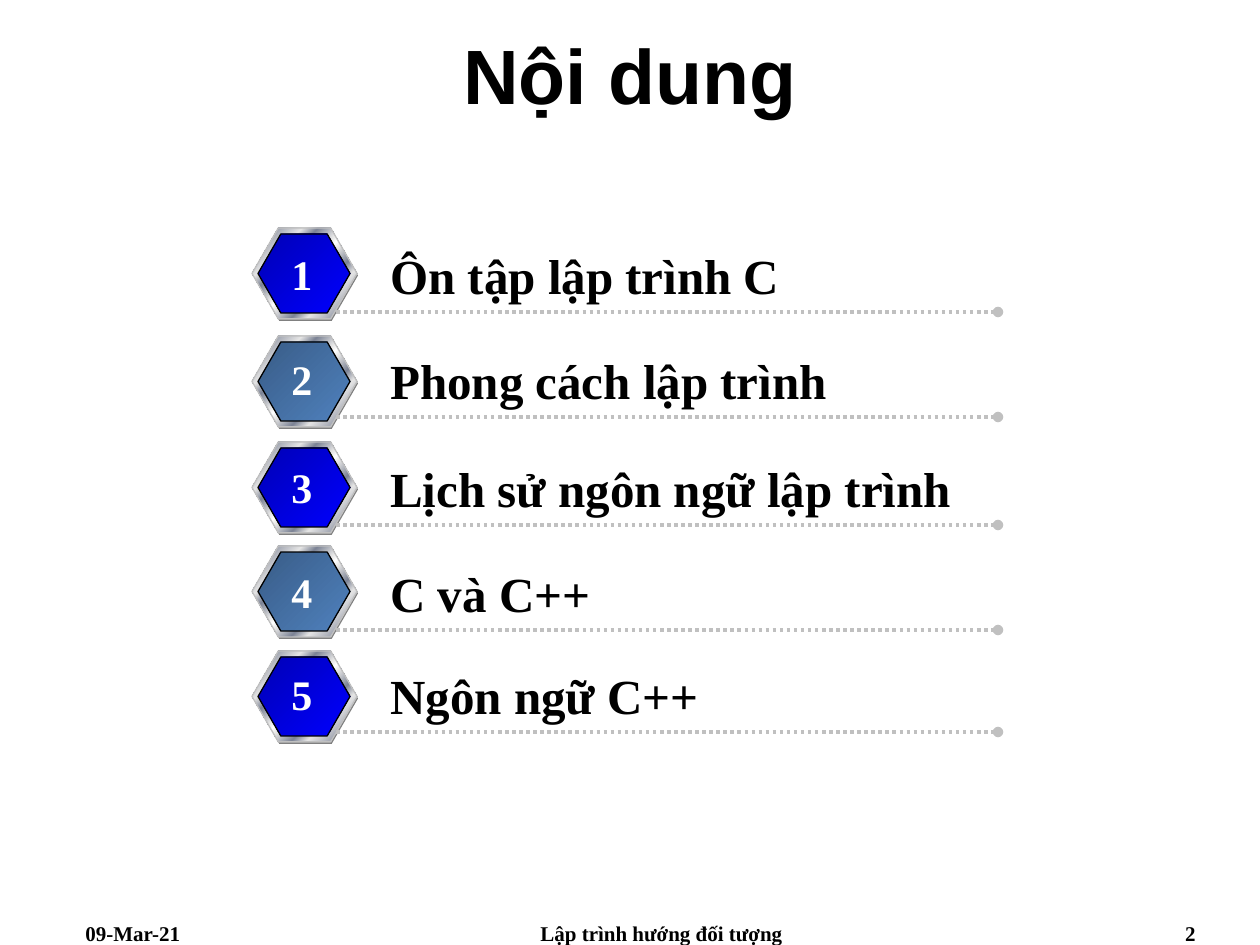
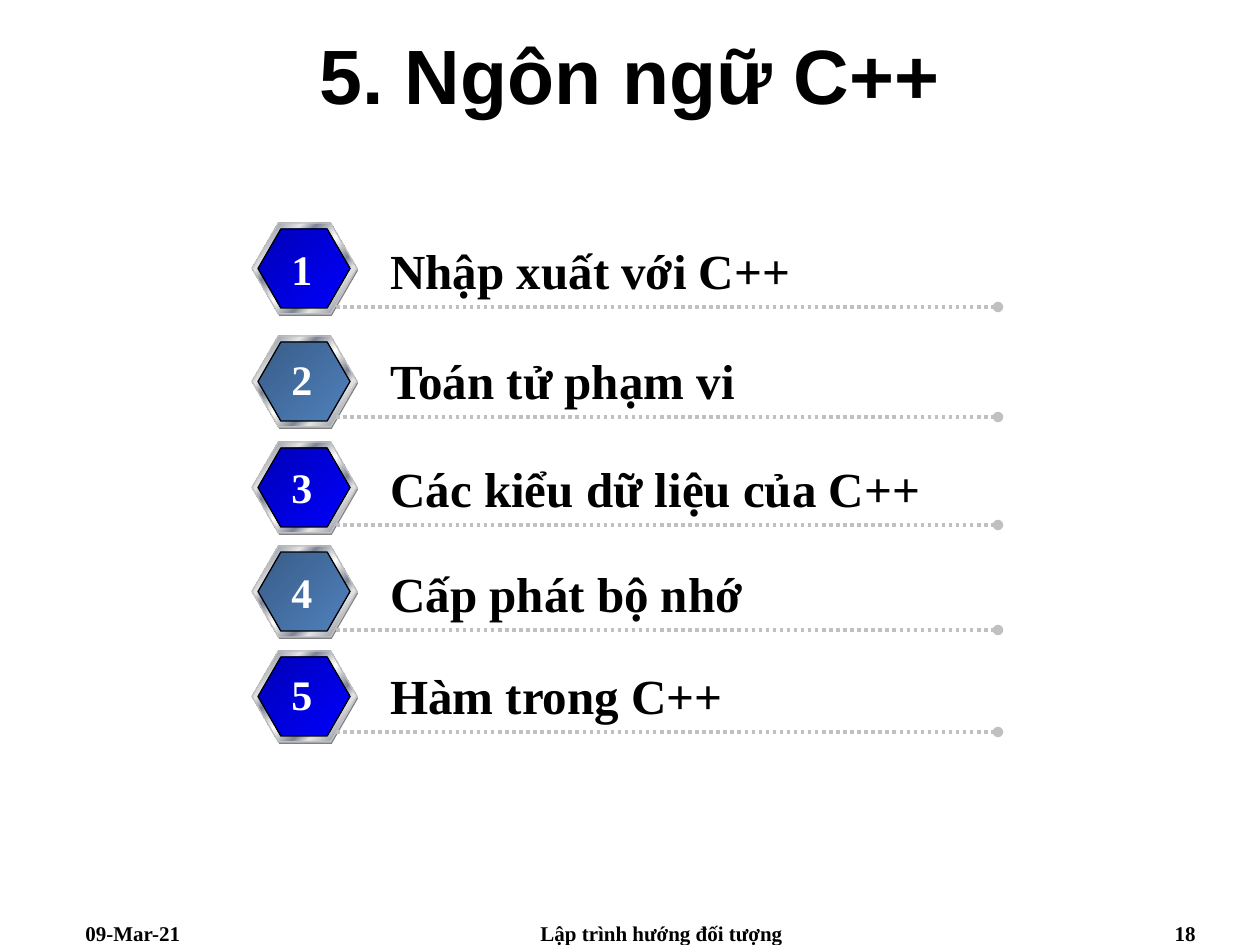
from lxml import etree
from pptx import Presentation
from pptx import util as u
from pptx.dml.color import RGBColor
from pptx.enum import dml, shapes, text
from pptx.oxml import ns

PX = 914400 / 126
BLACK = RGBColor(0x00, 0x00, 0x00)
WHITE = RGBColor(0xFF, 0xFF, 0xFF)
SILVER = RGBColor(0xC0, 0xC0, 0xC0)
SHADE = RGBColor(0x80, 0x80, 0x80)
STEEL_LIGHT = RGBColor(0xE6, 0xE6, 0xE6)
STEEL_DARK = RGBColor(0x7D, 0x84, 0x96)
BLUE = [(0, RGBColor(0x00, 0x00, 0xB6)), (100, RGBColor(0x00, 0x00, 0xFF))]
SLATE = [(0, RGBColor(0x39, 0x5C, 0x87)), (100, RGBColor(0x4F, 0x81, 0xBD))]
STEEL = [
    (0, STEEL_LIGHT), (7, STEEL_DARK), (26, STEEL_LIGHT), (34, STEEL_DARK),
    (46, STEEL_LIGHT), (50, WHITE), (54, STEEL_LIGHT), (66, STEEL_DARK),
    (74, STEEL_LIGHT), (93, STEEL_DARK), (100, STEEL_LIGHT),
]
HEADING_FONT = "Arial"
BODY_FONT = "Times New Roman"
ALIGN = text.PP_ALIGN

DATE = "09-Mar-21"
COURSE = "Lập trình hướng đối tượng"
LOWER_ROWS = [(336, 417, 620), (442, 525, 620), (546, 630, 620), (651, 732, 620)]
AGENDAS = [
    ("Nội dung", "2", (228, 312, 756),
     ["Ôn tập lập trình C", "Phong cách lập trình", "Lịch sử ngôn ngữ lập trình",
      "C và C++", "Ngôn ngữ C++"]),
    ("5. Ngôn ngữ C++", "18", (223, 307, 756),
     ["Nhập xuất với C++", "Toán tử phạm vi", "Các kiểu dữ liệu của C++",
      "Cấp phát bộ nhớ", "Hàm trong C++"]),
]


def px(*lengths):
    """Turn px lengths into EMU."""
    return [u.Emu(round(length * PX)) for length in lengths]


def write(frame, words, size, color, font, align):
    """Put one bold run into the first paragraph of a text frame."""
    paragraph = frame.paragraphs[0]
    paragraph.alignment = align
    run = paragraph.add_run()
    run.text = words
    run.font.name = font
    run.font.size = u.Pt(size)
    run.font.bold = True
    run.font.color.rgb = color


def add_title(slide, words):
    """Fill the title placeholder across the top of the slide."""
    title = slide.shapes.title
    title.left, title.top, title.width, title.height = px(0, 0, 1260, 147)
    frame = title.text_frame
    frame.auto_size = text.MSO_AUTO_SIZE.NONE
    frame.vertical_anchor = text.MSO_ANCHOR.MIDDLE
    write(frame, words, 44, BLACK, HEADING_FONT, ALIGN.CENTER)


def add_label(parent, box, words, size, color=BLACK, align=ALIGN.LEFT, wrap=True):
    """Add a text box in the body font."""
    frame = parent.shapes.add_textbox(*px(*box)).text_frame
    frame.word_wrap = wrap
    write(frame, words, size, color, BODY_FONT, align)
    return frame


def add_footer(slide, page):
    """Add date, course name and page number along the bottom."""
    add_label(slide, (73, 914, 294, 31), DATE, 12)
    add_label(slide, (462, 914, 399, 31), COURSE, 12, align=ALIGN.CENTER)
    add_label(slide, (914, 914, 294, 31), page, 12, align=ALIGN.RIGHT)


def fill_gradient(fill, stops):
    """Fill with colour stops running from top left to bottom right."""
    fill.gradient()
    fill.gradient_angle = 315
    stop_list = fill._xPr.find(ns.qn("a:gradFill")).find(ns.qn("a:gsLst"))
    for old_stop in list(stop_list):
        stop_list.remove(old_stop)
    for percent, color in stops:
        stop = etree.SubElement(stop_list, ns.qn("a:gs"), pos=str(percent * 1000))
        etree.SubElement(stop, ns.qn("a:srgbClr"), val=str(color))


def add_hexagon(group, box, stops=None, edge=None):
    """Add a hexagon, shaded by stops or else plain grey."""
    hexagon = group.shapes.add_shape(shapes.MSO_SHAPE.HEXAGON, *px(*box))
    hexagon.adjustments[0] = 0.289
    hexagon.shadow.inherit = False
    if stops:
        fill_gradient(hexagon.fill, stops)
    else:
        hexagon.fill.solid()
        hexagon.fill.fore_color.rgb = SHADE
    if edge is None:
        hexagon.line.fill.background()
    else:
        hexagon.line.color.rgb = edge
        hexagon.line.width = u.Pt(0.75)


def add_rule(group, y):
    """Add a dotted rule that ends in a dot."""
    rule = group.shapes.add_connector(
        shapes.MSO_CONNECTOR.STRAIGHT, *px(336, y, 998, y))
    rule.line.color.rgb = SILVER
    rule.line.width = u.Pt(2)
    rule.line.dash_style = dml.MSO_LINE.ROUND_DOT
    etree.SubElement(rule.line._get_or_add_ln(), ns.qn("a:tailEnd"), type="oval")
    etree.SubElement(rule._element.spPr, ns.qn("a:effectLst"))


def add_row(slide, number, topic, row):
    """Add one numbered topic with its badge and rule."""
    badge_top, rule_y, topic_width = row
    group = slide.shapes.add_group_shape()
    add_hexagon(group, (253, badge_top + 2, 105, 91))
    add_hexagon(group, (252, badge_top, 105, 91), STEEL, SILVER)
    core = BLUE if number % 2 else SLATE
    add_hexagon(group, (258, badge_top + 6, 92, 79), core, BLACK)
    add_rule(group, rule_y)
    topic_frame = add_label(group, (378, rule_y - 73, topic_width, 72), topic, 28)
    number_frame = add_label(group, (279, rule_y - 70, 46, 63), str(number), 24,
                             WHITE, ALIGN.CENTER, wrap=False)
    for frame in (topic_frame, number_frame):
        frame.auto_size = text.MSO_AUTO_SIZE.SHAPE_TO_FIT_TEXT


def main():
    """Build both agenda slides."""
    deck = Presentation()
    deck.slide_width, deck.slide_height = px(1260, 945)
    for title, page, first_row, topics in AGENDAS:
        slide = deck.slides.add_slide(deck.slide_layouts[5])
        add_title(slide, title)
        add_footer(slide, page)
        rows = [first_row, *LOWER_ROWS]
        for number, (topic, row) in enumerate(zip(topics, rows), 1):
            add_row(slide, number, topic, row)
    deck.save("out.pptx")


if __name__ == "__main__":
    main()
